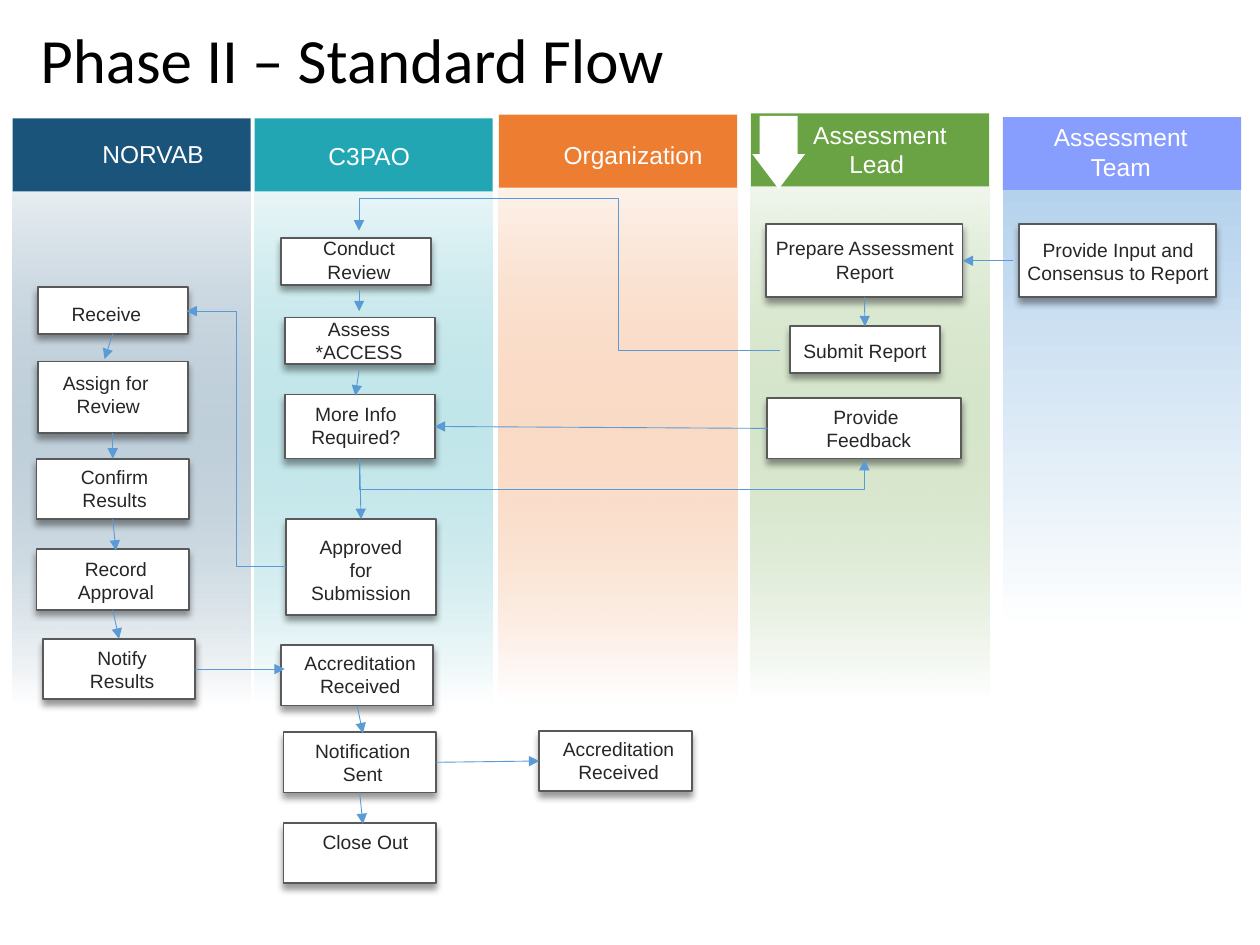
"""Build the Phase II standard flow as a swimlane slide."""
import lxml.etree
import pptx
import pptx.dml.color
import pptx.enum.shapes
import pptx.enum.text
import pptx.oxml.ns
import pptx.util

Inches = pptx.util.Inches
Pt = pptx.util.Pt
qn = pptx.oxml.ns.qn
RGB = pptx.dml.color.RGBColor.from_string
SHAPE = pptx.enum.shapes.MSO_SHAPE
CONNECTOR = pptx.enum.shapes.MSO_CONNECTOR
CENTER = pptx.enum.text.PP_ALIGN.CENTER

COLORS = {
    "board": "1B547B", "c3pao": "22A6B4", "organization": "ED7D31",
    "lead": "6AA343", "team": "0432FF", "team_lane": "B5D2EC",
    "white": "FFFFFF", "black": "000000", "border": "595959",
    "text": "262626", "arrow": "5B9BD5",
}
TOP, LEFT, BOTTOM, RIGHT = range(4)


def fade(shape, percent):
    """Set the opacity of the first colour of a shape's fill."""
    color = shape._element.xpath("./p:spPr//a:srgbClr")[0]
    lxml.etree.SubElement(color, qn("a:alpha"), val=str(percent * 1000))


def add_label(shapes, text, bounds, size, color):
    """Add centred Arial text, one paragraph per line."""
    label = shapes.add_textbox(*map(Inches, bounds))
    frame = label.text_frame
    frame.word_wrap = True
    frame.auto_size = pptx.enum.text.MSO_AUTO_SIZE.SHAPE_TO_FIT_TEXT
    frame.text = text
    for paragraph in frame.paragraphs:
        paragraph.alignment = CENTER
        for attribute, value in {"name": "Arial", "size": Pt(size)}.items():
            setattr(paragraph.font, attribute, value)
        paragraph.font.color.rgb = RGB(COLORS[color])


prs = pptx.Presentation()
prs.slide_width, prs.slide_height = Inches(10), Inches(7.5)
slide = prs.slides.add_slide(prs.slide_layouts[5])
shapes = slide.shapes

title = shapes.title
title_bounds = {"left": 0.22, "top": 0.14, "width": 9.24, "height": 0.72}
for attribute, value in title_bounds.items():
    setattr(title, attribute, Inches(value))
title.text_frame.text = "Phase II – Standard Flow"
title.text_frame.vertical_anchor = pptx.enum.text.MSO_ANCHOR.MIDDLE
heading = title.text_frame.paragraphs[0]
heading.alignment = pptx.enum.text.PP_ALIGN.LEFT
heading.line_spacing = 0.9
for attribute, value in {"name": "Calibri", "size": Pt(36)}.items():
    setattr(heading.font, attribute, value)
heading.font.color.rgb = RGB(COLORS["black"])

LANE_WIDTH, HEADER_HEIGHT = 1.89, 0.58
lanes = [
    ("board", "board", 0.1, 0.94, 4.08, "NORVAB", (0.49, 1.05, 1.45, 0.35)),
    ("c3pao", "c3pao", 2.02, 0.94, 4.08, "C3PAO", (2.27, 1.07, 1.32, 0.34)),
    ("organization", "organization", 3.96, 0.91, 4.08, "Organization", (4.3, 1.06, 1.45, 0.34)),
    ("lead", "lead", 5.96, 0.9, 4.08, "Assessment\nLead ", (6.26, 0.9, 1.45, 0.57)),
    ("team", "team_lane", 7.96, 0.93, 4.18, "Assessment\nTeam", (8.17, 0.92, 1.45, 0.57)),
]
for header_color, lane_color, left, top, height, name, label_bounds in lanes:
    header = shapes.add_shape(SHAPE.RECTANGLE, Inches(left), Inches(top),
                              Inches(LANE_WIDTH), Inches(HEADER_HEIGHT))
    header.fill.solid()
    header.fill.fore_color.rgb = RGB(COLORS[header_color])
    lane = shapes.add_shape(SHAPE.RECTANGLE, Inches(left), Inches(top + HEADER_HEIGHT),
                            Inches(LANE_WIDTH), Inches(height))
    lane.fill.gradient()
    lane.fill.gradient_angle = 270
    tint, end = lane.fill.gradient_stops
    tint.color.rgb = RGB(COLORS[lane_color])
    end.color.rgb = RGB(COLORS["white"])
    if header_color == "team":
        fade(header, 47)
        end.position = 0.84
    else:
        fade(lane, 10)
    for part in (header, lane):
        part.line.fill.background()
        part.shadow.inherit = False
    add_label(shapes, name, label_bounds, 14, "white")

pointer = shapes.add_shape(SHAPE.DOWN_ARROW, Inches(5.97), Inches(0.92), Inches(0.42), Inches(0.58))
pointer.adjustments[0], pointer.adjustments[1] = 0.72, 0.66
pointer.fill.solid()
pointer.fill.fore_color.rgb = RGB(COLORS["white"])
pointer.line.fill.background()
pointer.shadow.inherit = False

steps = {
    "submit": ((6.27, 2.59, 1.19, 0.37), "Submit Report", (6.19, 2.64, 1.35, 0.29)),
    "conduct": ((2.23, 1.89, 1.19, 0.37), "Conduct\nReview", (2.08, 1.83, 1.54, 0.47)),
    "assess": ((2.26, 2.52, 1.19, 0.37), "Assess *ACCESS", (2.35, 2.47, 1, 0.47)),
    "more info": ((2.26, 3.13, 1.19, 0.51), "More Info\nRequired?", (2.26, 3.14, 1.13, 0.47)),
    "feedback": ((6.09, 3.16, 1.54, 0.48), "Provide \nFeedback", (5.94, 3.17, 1.91, 0.47)),
    "approved": ((2.27, 4.12, 1.19, 0.76), "Approved for Submission", (2.35, 4.2, 1.03, 0.64)),
    "receive": ((0.3, 2.28, 1.19, 0.37), "Receive", (0.33, 2.35, 1.03, 0.29)),
    "assign": ((0.3, 2.87, 1.19, 0.57), "Assign for \nReview", (0.32, 2.9, 1.08, 0.47)),
    "confirm": ((0.29, 3.64, 1.21, 0.48), "Confirm\nResults", (0.16, 3.64, 1.5, 0.47)),
    "record": ((0.29, 4.36, 1.21, 0.48), "Record\nApproval", (0.17, 4.37, 1.5, 0.47)),
    "notify": ((0.34, 5.07, 1.21, 0.48), "Notify\nResults", (0.22, 5.08, 1.5, 0.47)),
    "accredited": ((2.23, 5.12, 1.21, 0.48), "Accreditation\nReceived", (2.11, 5.12, 1.5, 0.47)),
    "notification": ((2.25, 5.81, 1.21, 0.48), "Notification\nSent", (2.13, 5.82, 1.5, 0.47)),
    "received": ((4.28, 5.8, 1.21, 0.48), "Accreditation\nReceived", (4.16, 5.8, 1.5, 0.47)),
    "close out": ((2.25, 6.53, 1.21, 0.48), " Close Out", (2.13, 6.54, 1.5, 0.29)),
    "prepare": ((6.08, 1.78, 1.56, 0.58), "Prepare Assessment\nReport", (6.03, 1.83, 1.67, 0.47)),
    "input": ((8.09, 1.78, 1.56, 0.58), "Provide Input and Consensus to Report",
              (8.04, 1.84, 1.67, 0.47)),
}
boxes = {}
for step, (box_bounds, text, label_bounds) in steps.items():
    group = shapes.add_group_shape()
    box = group.shapes.add_shape(SHAPE.RECTANGLE, *map(Inches, box_bounds))
    box.fill.solid()
    box.fill.fore_color.rgb = RGB(COLORS["white"])
    box.line.color.rgb = RGB(COLORS["border"])
    box.line.width = Pt(1)
    box.shadow.inherit = False
    effects = box._element.spPr.find(qn("a:effectLst"))
    shadow = lxml.etree.SubElement(effects, qn("a:outerShdw"), blurRad=str(Pt(4)),
                                   dist=str(Pt(3)), dir="5400000", rotWithShape="0")
    shade = lxml.etree.SubElement(shadow, qn("a:srgbClr"), val=COLORS["black"])
    lxml.etree.SubElement(shade, qn("a:alpha"), val="40000")
    add_label(group.shapes, text, label_bounds, 11, "text")
    boxes[step] = box

straight_flows = [
    ((2.85, 2.3), (2.85, 2.47)),
    ((2.85, 2.94), (2.82, 3.14)),
    (("feedback", LEFT), ("more info", RIGHT)),
    (("more info", BOTTOM), ("approved", TOP)),
    (("receive", BOTTOM), (0.83, 2.85)),
    (("assign", BOTTOM), ("confirm", TOP)),
    (("confirm", BOTTOM), (0.92, 4.37)),
    (("record", BOTTOM), ("notify", TOP)),
    (("notify", RIGHT), (2.26, 5.31)),
    (("accredited", BOTTOM), (2.88, 5.82)),
    (("notification", RIGHT), ("received", LEFT)),
    (("notification", BOTTOM), (2.88, 6.54)),
    ((8.04, 2.07), ("prepare", RIGHT)),
    (("prepare", BOTTOM), ("submit", TOP)),
]
arrows = []
for start, end in straight_flows:
    points = [(0, 0) if point[0] in boxes else point for point in (start, end)]
    arrow = shapes.add_connector(CONNECTOR.STRAIGHT, *map(Inches, points[0] + points[1]))
    for point, join in ((start, arrow.begin_connect), (end, arrow.end_connect)):
        if point[0] in boxes:
            join(boxes[point[0]], point[1])
    arrows.append(arrow)

bent_flows = [
    ((6.19, 2.78, 2.85, 1.83), "bentConnector4", {"adj1": 38400, "adj2": 126400}, 0),
    ((4.86, 1.64, 4.85, 5.65), "bentConnector3", {"adj1": 2500000}, 270),
    ((2.27, 4.5, 1.48, 2.47), "bentConnector3", {"adj1": 50000}, 0),
]
for ends, preset, bends, rotation in bent_flows:
    arrow = shapes.add_connector(CONNECTOR.ELBOW, *map(Inches, ends))
    properties = arrow._element.spPr
    properties.find(qn("a:xfrm")).set("rot", str(rotation * 60000))
    geometry = properties.find(qn("a:prstGeom"))
    geometry.set("prst", preset)
    guides = geometry.find(qn("a:avLst"))
    for guide, value in bends.items():
        lxml.etree.SubElement(guides, qn("a:gd"), name=guide, fmla=f"val {value}")
    arrows.append(arrow)

for arrow in arrows:
    arrow.line.color.rgb = RGB(COLORS["arrow"])
    arrow.line.width = Pt(0.5)
    properties = arrow._element.spPr
    lxml.etree.SubElement(properties.find(qn("a:ln")), qn("a:tailEnd"), type="triangle")
    lxml.etree.SubElement(properties, qn("a:effectLst"))

prs.save("out.pptx")
